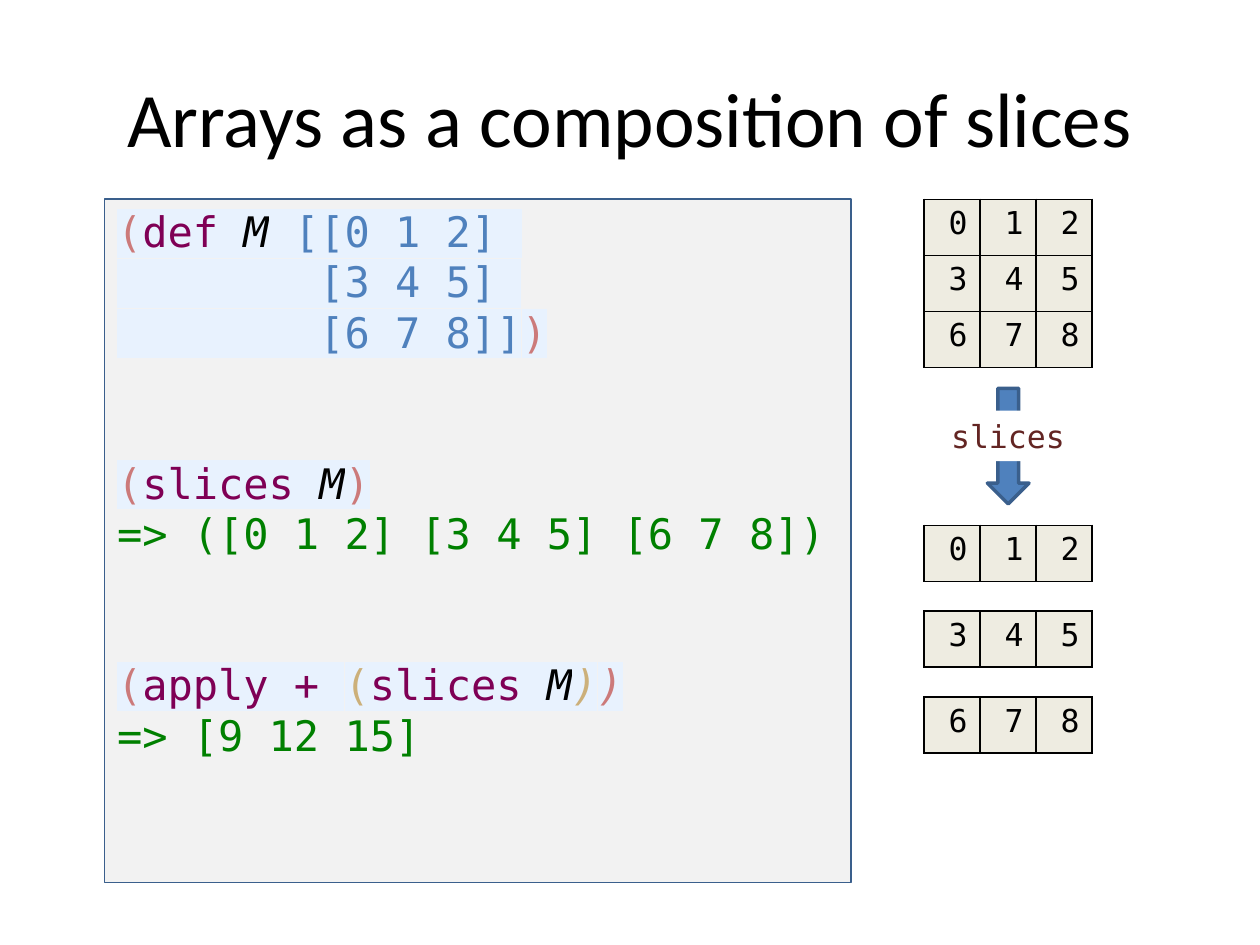
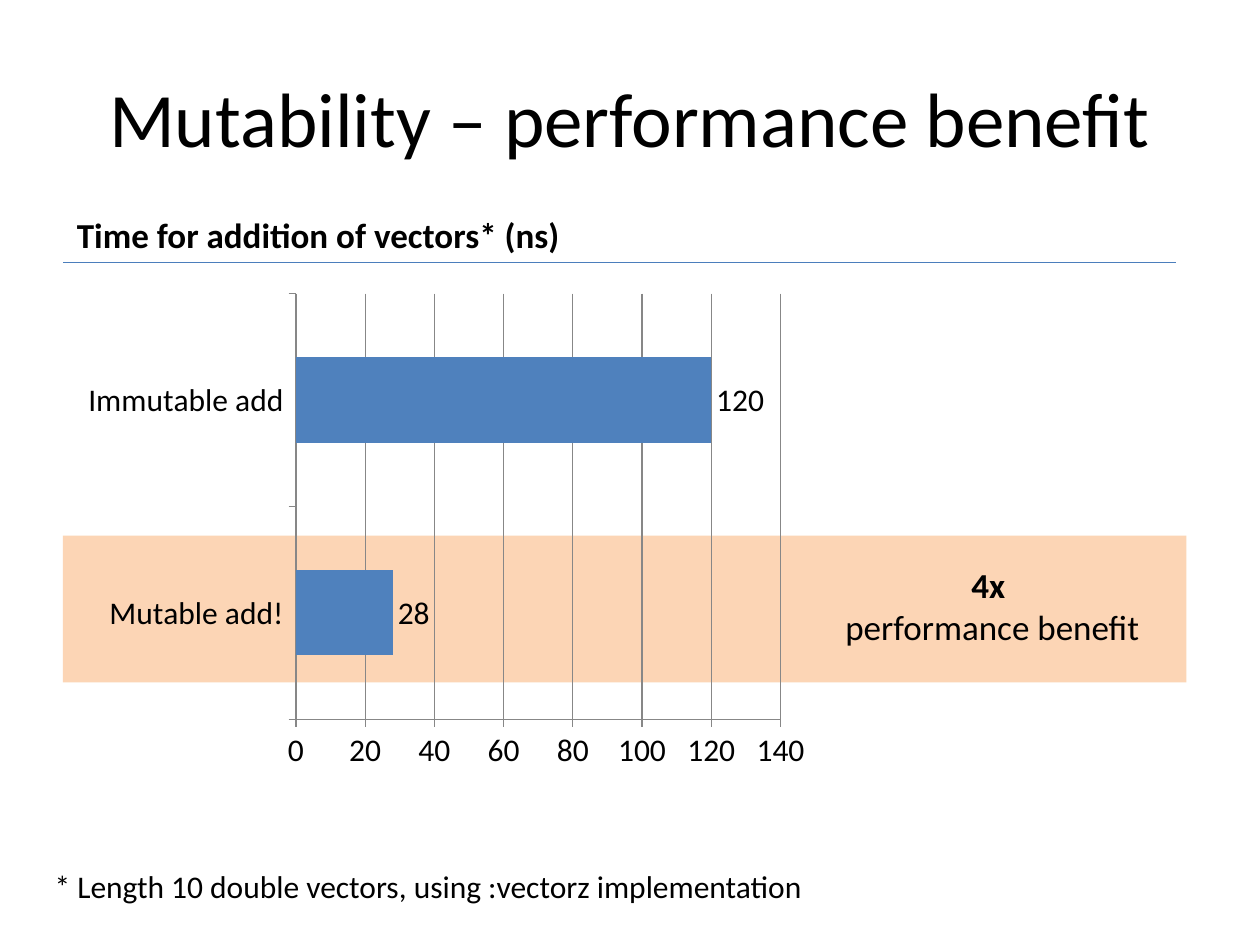
import pptx
import pptx.util
import pptx.dml.color
import pptx.chart.data
import pptx.enum.chart
import pptx.enum.shapes
import pptx.enum.text
import pptx.oxml
import pptx.oxml.ns
from lxml import etree

Cm, Pt = pptx.util.Cm, pptx.util.Pt
RGB = pptx.dml.color.RGBColor.from_string
Kind = pptx.enum.shapes.MSO_SHAPE
Align = pptx.enum.text.PP_ALIGN
Anchor = pptx.enum.text.MSO_ANCHOR
Fit = pptx.enum.text.MSO_AUTO_SIZE
qn = pptx.oxml.ns.qn


class Theme:
    sans, mono = "Calibri", "DejaVu Sans Mono"
    head, code, lead, note = 44, 24, 20, 18
    ink, paper, blue, edge = "000000", "FFFFFF", "4F81BD", "3A5F8C"
    panel, cell, mark, band = "F2F2F2", "EEECE1", "E8F2FE", "FCD5B5"
    rule, grid, label = "4B7EBC", "878787", "632523"
    # code roles: colour, italic, marked
    roles = {
        "outer": ("CC7A7A", False, True),
        "close": ("CC7A7A", True, True),
        "inner": ("CCB07A", False, True),
        "shut": ("CCB07A", True, True),
        "word": ("7F0055", False, True),
        "name": ("000000", True, True),
        "data": ("4F81BD", False, True),
        "out": ("008000", False, False),
    }


# Content
HEADS = ["Arrays as a composition of slices", "Mutability \u2013 performance benefit"]
# Each block is a list of lines, each line a list of (text, role)
CODE = [
    [[("(", "outer"), ("def ", "word"), ("M", "name"), (" ", "word"),
      ("[[0 1 2] ", "data")],
     [("        [3 4 5] ", "data")],
     [("        [6 7 8]]", "data"), (")", "outer")]],
    [[("(", "outer"), ("slices ", "word"), ("M", "name"), (")", "outer")],
     [("=> ([0 1 2] [3 4 5] [6 7 8])", "out")]],
    [[("(", "outer"), ("apply + ", "word"), ("(", "inner"), ("slices ", "word"),
      ("M", "name"), (")", "shut"), (")", "close")],
     [("=> [9 12 15]", "out")]],
]
MATRIX = [[0, 1, 2], [3, 4, 5], [6, 7, 8]]
STEP = "slices"
TIMES = {"Mutable add!": 28, "Immutable add": 120}
TOPIC = "Time for addition of vectors* (ns)"
NOTE = "* Length 10 double vectors, using :vectorz implementation"
GAIN = [("4x ", True), ("performance benefit", False)]


# Helpers
def style(font, size, face=Theme.sans, tone=Theme.ink, bold=False):
    font.size, font.name, font.bold = Pt(size), face, bold
    font.color.rgb = RGB(tone)


def start(deck, text):
    page = deck.slides.add_slide(deck.slide_layouts[5])
    head = page.shapes.title
    head.left, head.top, head.width, head.height = map(Cm, (1.27, 0.76, 22.86, 3.18))
    head.text_frame.text = text
    head.text_frame.vertical_anchor = Anchor.MIDDLE
    para = head.text_frame.paragraphs[0]
    para.alignment = Align.CENTER
    style(para.font, Theme.head)
    return page


def block(page, kind, box, fill, line=None, width=1):
    part = page.shapes.add_shape(kind, *map(Cm, box))
    part.shadow.inherit = False
    part.fill.solid()
    part.fill.fore_color.rgb = RGB(fill)
    if line:
        part.line.color.rgb = RGB(line)
        part.line.width = Pt(width)
    else:
        part.line.fill.background()
    return part


def write(frame, lines, size, align=Align.LEFT, face=Theme.sans, tone=Theme.ink):
    frame.word_wrap = True
    frame.auto_size = Fit.SHAPE_TO_FIT_TEXT
    for i, (text, bold) in enumerate(lines):
        para = frame.add_paragraph() if i else frame.paragraphs[0]
        para.add_run().text = text
        para.alignment = align
        style(para.font, size, face, tone, bold)


def label(page, box, lines, size, align=Align.LEFT):
    write(page.shapes.add_textbox(*map(Cm, box)).text_frame, lines, size, align)


def paint(run, role):
    tone, slant, marked = Theme.roles[role]
    run.font.color.rgb = RGB(tone)
    run.font.italic = slant
    if marked:
        mark = etree.SubElement(run.font._element, qn("a:highlight"))
        etree.SubElement(mark, qn("a:srgbClr"), val=Theme.mark)


def border(cell):
    props = cell._tc.get_or_add_tcPr()
    for i, side in enumerate(("a:lnL", "a:lnR", "a:lnT", "a:lnB")):
        line = etree.Element(qn(side), w=str(Pt(1)))
        fill = etree.SubElement(line, qn("a:solidFill"))
        etree.SubElement(fill, qn("a:srgbClr"), val=Theme.ink)
        props.insert(i, line)


def table(page, left, top, rows, side):
    cols = len(rows[0])
    grid = page.shapes.add_table(len(rows), cols, Cm(left), Cm(top),
                                 Cm(side * cols), Cm(side * len(rows))).table
    grid.first_row = grid.horz_banding = False
    for col in grid.columns:
        col.width = Cm(side)
    for r, row in enumerate(rows):
        grid.rows[r].height = Cm(side)
        for c, value in enumerate(row):
            cell = grid.cell(r, c)
            cell.fill.solid()
            cell.fill.fore_color.rgb = RGB(Theme.cell)
            border(cell)
            cell.text = str(value)
            para = cell.text_frame.paragraphs[0]
            para.alignment = Align.RIGHT
            style(para.font, Theme.note, Theme.mono)


def clear():
    props = etree.Element(qn("c:spPr"))
    etree.SubElement(props, qn("a:noFill"))
    etree.SubElement(etree.SubElement(props, qn("a:ln")), qn("a:noFill"))
    return props


deck = pptx.Presentation()
deck.slide_width, deck.slide_height = Cm(25.4), Cm(19.05)

# Slide 1: code panel
page = start(deck, HEADS[0])
panel = block(page, Kind.RECTANGLE, (2.11, 4.02, 15.04, 13.77), Theme.panel, Theme.edge)
frame = panel.text_frame
frame.word_wrap = True
frame.vertical_anchor = Anchor.TOP
for b, part in enumerate(CODE):
    for n, line in enumerate(part):
        para = frame.add_paragraph() if b or n else frame.paragraphs[0]
        para.alignment = Align.LEFT
        para.font.size, para.font.name = Pt(Theme.code), Theme.mono
        if b and not n:
            para.space_before = Pt(57.5)
        for text, role in line:
            run = para.add_run()
            run.text = text
            paint(run, role)

# Matrix, then its slices
LEFT, SIDE = 18.63, 1.13
table(page, LEFT, 4.02, MATRIX, SIDE)
for i, row in enumerate(MATRIX):
    table(page, LEFT, 10.59 + 1.73 * i, [row], SIDE)

# Arrow with its label, centred on the tables
mid = LEFT + SIDE * 1.5
block(page, Kind.DOWN_ARROW, (mid - 0.42, 7.83, 0.84, 2.33), Theme.blue, Theme.edge, 2)
tag = block(page, Kind.RECTANGLE, (mid - 1.91, 8.28, 3.81, 1.02), Theme.paper)
write(tag.text_frame, [(STEP, False)], Theme.note, Align.CENTER, Theme.mono, Theme.label)

# Slide 2: band behind the chart
page = start(deck, HEADS[1])
block(page, Kind.RECTANGLE, (1.27, 10.8, 22.65, 2.96), Theme.band)

# Bar chart
data = pptx.chart.data.CategoryChartData()
data.categories = list(TIMES)
data.add_series("Series 1", list(TIMES.values()))
chart = page.shapes.add_chart(pptx.enum.chart.XL_CHART_TYPE.BAR_CLUSTERED,
                              *map(Cm, (1.48, 5.72, 15.04, 10)), data).chart
chart.has_legend = chart.has_title = False
style(chart.font, Theme.note)
plot = chart.plots[0]
plot.gap_width = 150
plot.vary_by_categories = False
bars = plot.series[0]
bars.format.fill.solid()
bars.format.fill.fore_color.rgb = RGB(Theme.blue)
plot.has_data_labels = True
plot.data_labels.show_value = True
plot.data_labels.position = pptx.enum.chart.XL_LABEL_POSITION.OUTSIDE_END
axis = chart.value_axis
axis.minimum_scale, axis.maximum_scale, axis.major_unit = 0, 140, 20
axis.has_major_gridlines = True
for part in (axis, axis.major_gridlines, chart.category_axis):
    part.format.line.color.rgb = RGB(Theme.grid)
    part.format.line.width = Pt(0.75)
for part in (axis, chart.category_axis):
    part.major_tick_mark = pptx.enum.chart.XL_TICK_MARK.OUTSIDE
root = chart._chartSpace
root.chart.plotArea.append(clear())
root.chart.addnext(clear())

# Rule and texts
rule = page.shapes.add_connector(pptx.enum.shapes.MSO_CONNECTOR.STRAIGHT,
                                 *map(Cm, (1.27, 5.29, 23.71, 5.29)))
rule.line.color.rgb = RGB(Theme.rule)
rule.line.width = Pt(0.75)
etree.SubElement(rule._element.spPr, qn("a:effectLst"))
label(page, (1.3, 4.17, 20.93, 1.11), [(TOPIC, True)], Theme.lead)
label(page, (0.85, 17.36, 17.57, 1.03), [(NOTE, False)], Theme.note)
label(page, (16.3, 11.23, 7.41, 1.97), GAIN, Theme.lead, Align.CENTER)

deck.save("out.pptx")
